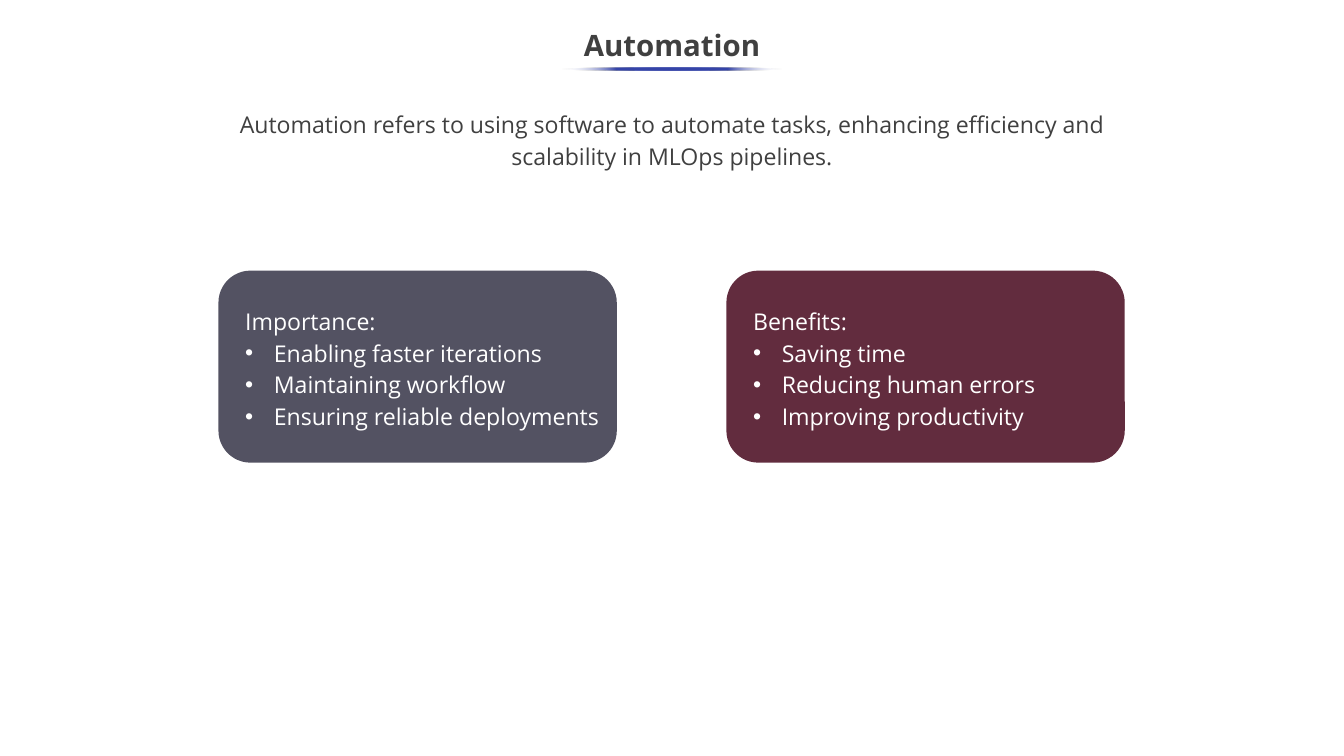
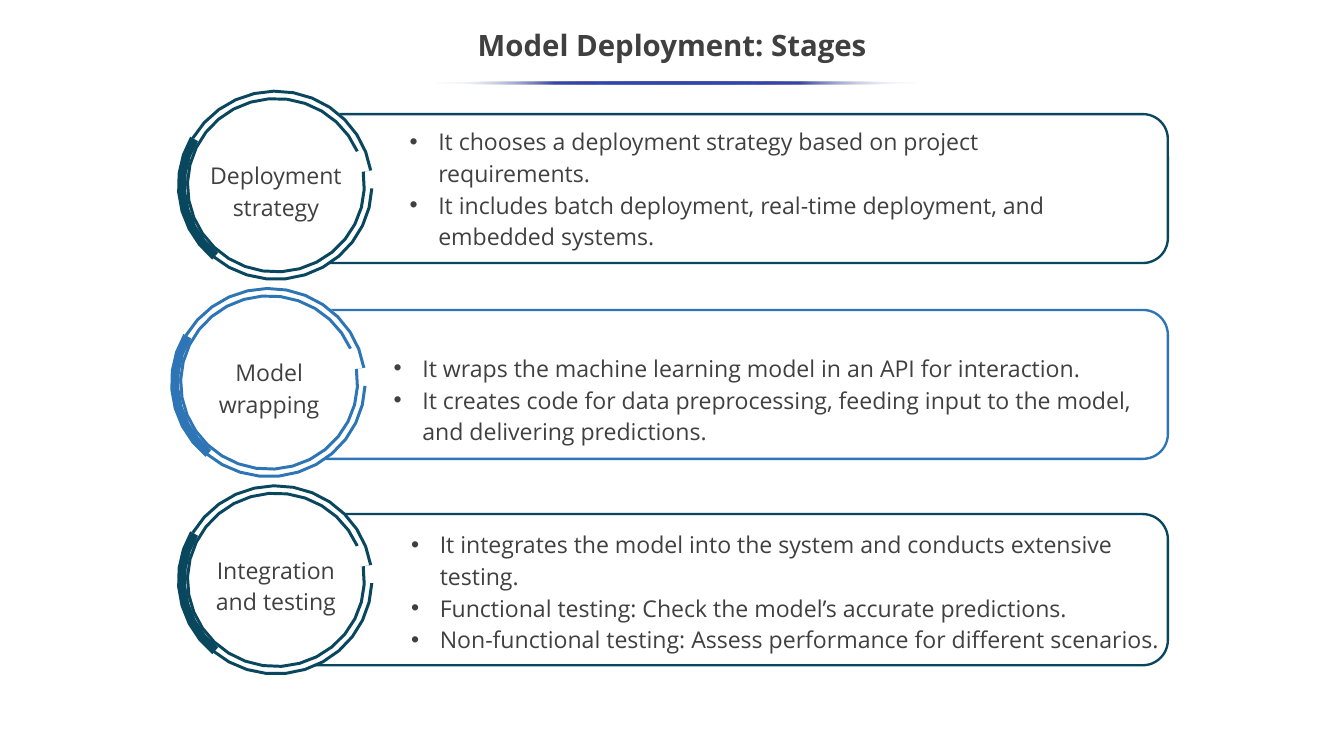
import math

from lxml import etree
from pptx import Presentation
from pptx import util as u
from pptx.dml.color import RGBColor
from pptx.enum import shapes, text
from pptx.oxml import ns

PX = 9144  # EMU per px, 100 px to the inch
SLIDE_W, SLIDE_H = 1778, 1000
FONT = "Open Sans"
BODY_SIZE, TITLE_SIZE = 22, 28
BODY_SPACING, TITLE_SPACING = 1.15, 0.9
BULLET_INDENT = 38

INK = RGBColor(0x40, 0x40, 0x40)
WHITE = RGBColor(0xFF, 0xFF, 0xFF)
INDIGO = RGBColor(0x36, 0x45, 0xA9)
SLATE = RGBColor(0x53, 0x52, 0x62)
WINE = RGBColor(0x62, 0x2C, 0x3E)
TEAL = RGBColor(0x09, 0x47, 0x5E)
BLUE = RGBColor(0x2E, 0x75, 0xB6)

BADGE_W, BADGE_H = 257, 251
RING_SQUASH = 0.98  # height of the rings relative to their width
ARC_STEP = 12  # degrees


def emu(*lengths):
    return [round(length * PX) for length in lengths]


def add_plain_shape(slide, kind, box, fill, line=None):
    shape = slide.shapes.add_shape(kind, *emu(*box))
    paint(shape, fill, line)
    return shape


def paint(shape, fill, line=None):
    shape.shadow.inherit = False
    shape.fill.solid()
    shape.fill.fore_color.rgb = fill
    if line is None:
        shape.line.fill.background()
    else:
        shape.line.color.rgb = line
        shape.line.width = u.Pt(2.25)


def set_margins(frame, left=10, top=5, right=10, bottom=5):
    frame.margin_left, frame.margin_top, frame.margin_right, frame.margin_bottom = emu(
        left, top, right, bottom)


def add_bullet(paragraph):
    props = paragraph._p.get_or_add_pPr()
    props.set("marL", str(BULLET_INDENT * PX))
    props.set("indent", str(-BULLET_INDENT * PX))
    etree.SubElement(props, ns.qn("a:buFont")).set("typeface", "Arial")
    etree.SubElement(props, ns.qn("a:buChar")).set("char", "•")


def write(frame, lines, color=INK, align=text.PP_ALIGN.LEFT, first_bullet=None,
          size=BODY_SIZE, spacing=BODY_SPACING, bold=False):
    """Fill a frame; lines from index first_bullet on get a bullet."""
    frame.word_wrap = True
    frame.text = "\n".join(lines)
    for index, paragraph in enumerate(frame.paragraphs):
        if first_bullet is not None and index >= first_bullet:
            add_bullet(paragraph)
        paragraph.alignment = align
        paragraph.line_spacing = spacing
        for run in paragraph.runs:
            run.font.name = FONT
            run.font.size = u.Pt(size)
            run.font.bold = bold
            run.font.color.rgb = color


def add_text(slide, box, lines, **style):
    frame = slide.shapes.add_textbox(*emu(*box)).text_frame
    set_margins(frame)
    write(frame, lines, **style)
    return frame


def add_underline(slide, box):
    """Thin ellipse that fades out at both ends."""
    underline = add_plain_shape(slide, shapes.MSO_SHAPE.OVAL, box, INDIGO)
    underline.fill.gradient()
    underline.fill.gradient_angle = 0
    stops = underline._element.spPr.find(ns.qn("a:gradFill")).find(ns.qn("a:gsLst"))
    for stop in list(stops):
        stops.remove(stop)
    for percent in (0, 25, 50, 75, 100):
        at_end = percent in (0, 100)
        stop = etree.SubElement(stops, ns.qn("a:gs"), pos=str(percent * 1000))
        color = etree.SubElement(stop, ns.qn("a:srgbClr"), val=str(WHITE if at_end else INDIGO))
        if at_end:
            etree.SubElement(color, ns.qn("a:alpha"), val="0")


def add_titled_slide(deck, heading, underline_box):
    slide = deck.slides.add_slide(deck.slide_layouts[5])
    title = slide.shapes.title
    title.left, title.top, title.width, title.height = emu(-1, 25, 1780, 75)
    set_margins(title.text_frame)
    title.text_frame.vertical_anchor = text.MSO_ANCHOR.MIDDLE
    write(title.text_frame, [heading], align=text.PP_ALIGN.CENTER,
          size=TITLE_SIZE, spacing=TITLE_SPACING, bold=True)
    add_underline(slide, underline_box)
    return slide


def add_card(slide, box, fill, lines):
    """Rounded card with a lead line and bullets."""
    card = add_plain_shape(slide, shapes.MSO_SHAPE.ROUNDED_RECTANGLE, box, fill)
    set_margins(card.text_frame, left=23)
    card.text_frame.vertical_anchor = text.MSO_ANCHOR.MIDDLE
    write(card.text_frame, lines, color=WHITE, first_bullet=1)


def arc(radius, start, end):
    """Points from start to end, in degrees clockwise from the right."""
    steps = math.ceil(abs(end - start) / ARC_STEP)
    angles = [math.radians(start + (end - start) * i / steps) for i in range(steps + 1)]
    return [(radius * math.cos(a), radius * RING_SQUASH * math.sin(a)) for a in angles]


def band(outer, inner, start, end):
    return arc(outer, start, end) + arc(inner, end, start)


RING_OUTLINES = (
    # upper arc that steps inward and runs on as the inner ring
    arc(129, 210, 351) + arc(119, 351, 697) + arc(115, 697, 351) + arc(125, 351, 210),
    # heavy accent on the left
    band(131, 119, 130, 210),
    # lower arc
    band(129, 125, 2, 131),
)


def add_badge(slide, left, top, color, label):
    """Disc with its broken double ring and a centred label."""
    add_plain_shape(slide, shapes.MSO_SHAPE.OVAL, (left, top, BADGE_W, BADGE_H), WHITE)
    center_x, center_y = left + 129, top + 126
    for outline in RING_OUTLINES:
        points = [emu(center_x + x, center_y + y) for x, y in outline]
        builder = slide.shapes.build_freeform(*points[0])
        builder.add_line_segments(points[1:], close=True)
        paint(builder.convert_to_shape(), color)
    add_text(slide, (left + 27, top + 84, 204, 93), [label], align=text.PP_ALIGN.CENTER)


def add_stage(slide, panel, badge, details_box, color, label, details):
    add_plain_shape(slide, shapes.MSO_SHAPE.ROUNDED_RECTANGLE, panel, WHITE, color)
    add_badge(slide, *badge, color, label)
    add_text(slide, details_box, details, first_bullet=0)


def add_automation_slide(deck):
    slide = add_titled_slide(deck, "Automation", (743, 89, 292, 4))
    summary = add_text(
        slide, (270, 141, 1238, 99),
        ["Automation refers to using software to automate tasks, enhancing efficiency "
         "and scalability in MLOps pipelines."],
        align=text.PP_ALIGN.CENTER)
    set_margins(summary, top=0, bottom=0)
    cards = (
        (SLATE, ["Importance:", "Enabling faster iterations", "Maintaining workflow",
                 "Ensuring reliable deployments"]),
        (WINE, ["Benefits:", "Saving time", "Reducing human errors",
                "Improving productivity"]),
    )
    for column, (fill, lines) in enumerate(cards):
        add_card(slide, (289 + 672 * column, 358, 527, 254), fill, lines)


def add_stages_slide(deck):
    slide = add_titled_slide(deck, "Model Deployment: Stages", (574, 108, 643, 4))
    stages = (
        ((362, 151, 1183, 197), (236, 119), (532, 158, 972, 178), TEAL,
         "Deployment strategy",
         ["It chooses a deployment strategy based on project requirements.",
          "It includes batch deployment, real-time deployment, and embedded systems."]),
        ((364, 410, 1181, 197), (227, 380), (511, 458, 1041, 135), BLUE,
         "Model wrapping",
         ["It wraps the machine learning model in an API for interaction.",
          "It creates code for data preprocessing, feeding input to the model, "
          "and delivering predictions."]),
        ((364, 680, 1181, 200), (236, 641), (534, 691, 1018, 178), TEAL,
         "Integration and testing",
         ["It integrates the model into the system and conducts extensive testing.",
          "Functional testing: Check the model’s accurate predictions.",
          "Non-functional testing: Assess performance for different scenarios."]),
    )
    for stage in stages:
        add_stage(slide, *stage)


def main():
    deck = Presentation()
    deck.slide_width, deck.slide_height = emu(SLIDE_W, SLIDE_H)
    add_automation_slide(deck)
    add_stages_slide(deck)
    deck.save("out.pptx")


if __name__ == "__main__":
    main()
